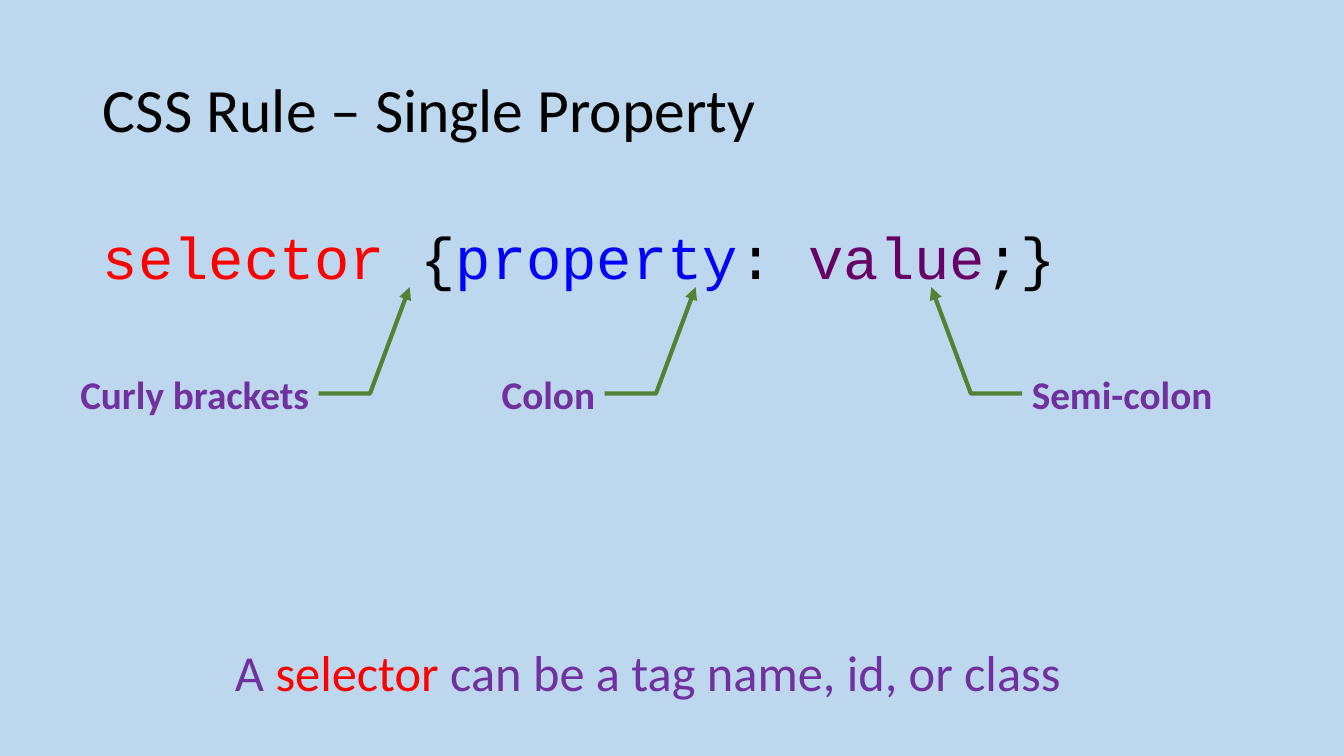
from lxml.etree import SubElement
from pptx import Presentation
from pptx.dml.color import RGBColor
from pptx.enum.shapes import MSO_SHAPE
from pptx.enum.text import MSO_ANCHOR, MSO_AUTO_SIZE, PP_ALIGN
from pptx.oxml.ns import qn
from pptx.util import Pt

SCALE = 914400 / 100.8
SKY = RGBColor(0xBD, 0xD7, 0xEE)
BLACK = RGBColor(0, 0, 0)
RED = RGBColor(0xFF, 0, 0)
BLUE = RGBColor(0, 0, 0xFF)
PLUM = RGBColor(0x66, 0, 0x66)
PURPLE = RGBColor(0x70, 0x30, 0xA0)
GREEN = RGBColor(0x54, 0x82, 0x35)
BEND = (0.501, 0.999, 0.5, 1.19, -0.62, 1.337)


def px(*nums):
    """Turn pixel lengths into EMU."""
    return [round(num * SCALE) for num in nums]


def write(shape, runs, size, font="Calibri", bold=False, align=PP_ALIGN.LEFT,
          anchor=MSO_ANCHOR.TOP, space=None, wrap=True):
    """Fill a shape with one paragraph of (text, colour) runs."""
    frame = shape.text_frame
    frame.word_wrap = wrap
    frame.vertical_anchor = anchor
    para = frame.paragraphs[0]
    para.alignment = align
    para.line_spacing = space
    for text, color in runs:
        run = para.add_run()
        run.text = text
        run.font.name = font
        run.font.size = Pt(size)
        run.font.bold = bold
        run.font.color.rgb = color
    return frame


def add_text(slide, box, runs, size, **style):
    """Add a text box holding the given runs."""
    return write(slide.shapes.add_textbox(*px(*box)), runs, size, **style)


def add_label(slide, left, text, flip=False):
    """Add a borderless callout whose bent arrow points up at the code."""
    shape = slide.shapes.add_shape(MSO_SHAPE.LINE_CALLOUT_2_NO_BORDER,
                                   *px(left, 346, 269, 95))
    shape.shadow.inherit = False
    shape.fill.background()
    shape.line.color.rgb = GREEN
    shape.line.width = Pt(3)
    for index, value in enumerate(BEND):
        shape.adjustments[index] = value
    props = shape.element.spPr
    SubElement(props.find(qn("a:ln")), qn("a:tailEnd"), type="triangle")
    if flip:
        props.find(qn("a:xfrm")).set("flipH", "1")
    write(shape, [(text, PURPLE)], 28, bold=True, anchor=MSO_ANCHOR.MIDDLE,
          align=PP_ALIGN.LEFT if flip else PP_ALIGN.RIGHT)


def main():
    """Build the slide and save it."""
    deck = Presentation()
    deck.slide_width, deck.slide_height = px(1344, 756)
    slide = deck.slides.add_slide(deck.slide_layouts[6])
    slide.background.fill.solid()
    slide.background.fill.fore_color.rgb = SKY

    add_text(slide, (93, 40, 1159, 146), [("CSS Rule – Single Property", BLACK)],
             44, anchor=MSO_ANCHOR.MIDDLE, space=0.9)
    code = [("selector ", RED), ("{", BLACK), ("property", BLUE),
            (": ", BLACK), ("value", PLUM), (";}", BLACK)]
    add_text(slide, (93, 202, 1159, 480), code, 42, font="Courier New", space=1.2)

    add_label(slide, 50, "Curly brackets")
    add_label(slide, 336, "Colon")
    add_label(slide, 1022, "Semi-colon", flip=True)

    note = [("A ", PURPLE), ("selector", RED),
            (" can be a tag name, id, or class", PURPLE)]
    frame = add_text(slide, (221, 636, 854, 72), note, 36,
                     align=PP_ALIGN.CENTER, wrap=False)
    frame.auto_size = MSO_AUTO_SIZE.SHAPE_TO_FIT_TEXT
    deck.save("out.pptx")


if __name__ == "__main__":
    main()
